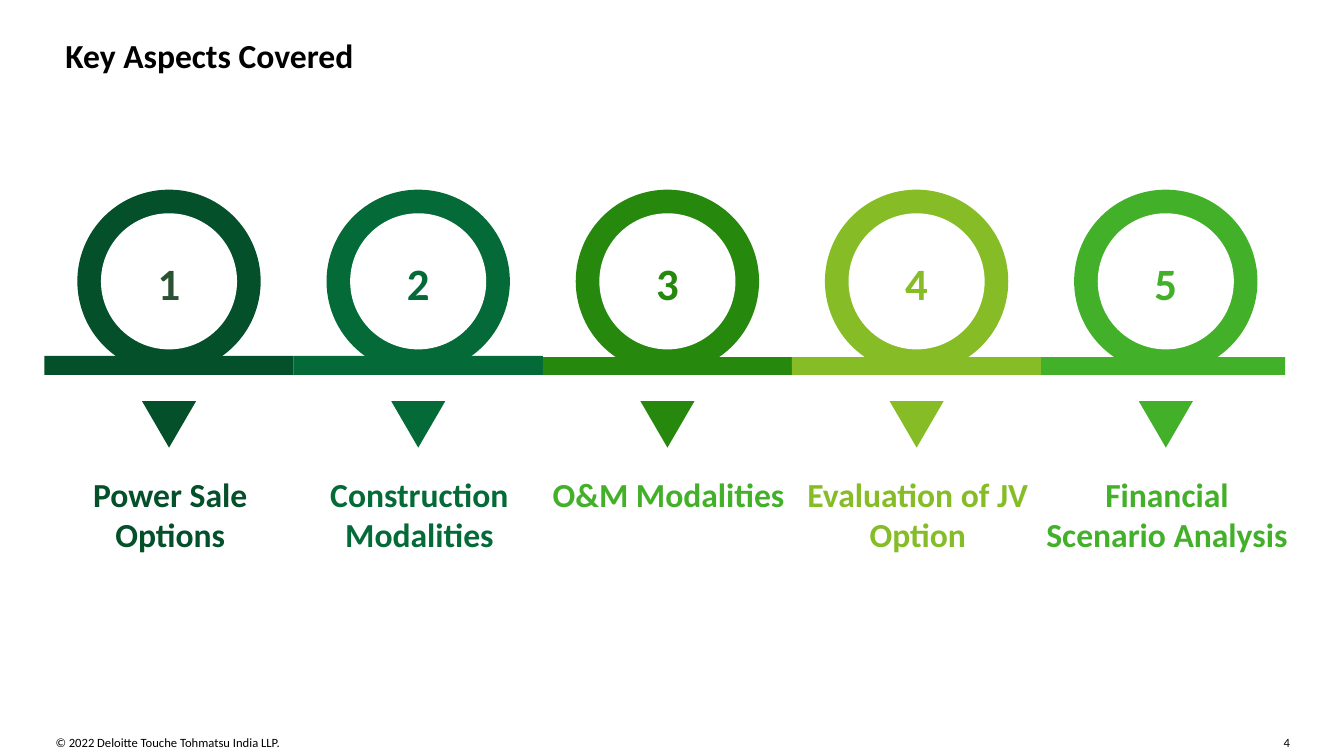
from dataclasses import dataclass

from pptx import Presentation
from pptx.dml.color import RGBColor
from pptx.enum.shapes import MSO_SHAPE
from pptx.enum.text import MSO_ANCHOR, PP_ALIGN
from pptx.shapes.autoshape import Shape
from pptx.slide import Slide
from pptx.util import Cm, Pt

FONT = "Calibri"
COLORS = {
    "black": "000000",
    "white": "FFFFFF",
    "forest": "03502A",
    "moss": "2C5234",
    "emerald": "046A38",
    "leaf": "26890D",
    "lime": "86BC25",
    "bright": "43B02A",
}

# Lengths in centimetres
FIRST_CENTER = 4.26
PITCH = 6.28
RING_MIDDLE = 7.09
RING_SIZE = 4.62
HOLE_SIZE = 3.43
BAR_BOTTOM = 9.45
LABEL_WIDTH = 6.15


@dataclass
class Aspect:
    label: str
    color: str
    number_color: str
    label_color: str
    bar_height: float = 0.45
    bar_width: float = PITCH


ASPECTS = [
    Aspect("Power Sale Options", "forest", "moss", "forest", bar_height=0.48),
    Aspect("Construction Modalities", "emerald", "emerald", "emerald", bar_height=0.48),
    Aspect("O&M Modalities", "leaf", "leaf", "bright"),
    Aspect("Evaluation of JV Option", "lime", "lime", "lime"),
    Aspect("Financial Scenario Analysis", "bright", "bright", "bright", bar_width=6.15),
]


def write_text(shape: Shape, text: str, *, size: float, color: str = "black",
               bold: bool = False, align: PP_ALIGN = PP_ALIGN.LEFT,
               anchor: MSO_ANCHOR = MSO_ANCHOR.TOP, wrap: bool = True,
               inset_x: float = 0, inset_y: float = 0,
               line_spacing: float | None = None) -> None:
    frame = shape.text_frame
    frame.word_wrap = wrap
    frame.vertical_anchor = anchor
    frame.margin_left = frame.margin_right = Cm(inset_x)
    frame.margin_top = frame.margin_bottom = Cm(inset_y)
    paragraph = frame.paragraphs[0]
    paragraph.alignment = align
    paragraph.line_spacing = line_spacing
    run = paragraph.add_run()
    run.text = text
    run.font.name = FONT
    run.font.size = Pt(size)
    run.font.bold = bold
    run.font.color.rgb = RGBColor.from_string(COLORS[color])


def add_text_box(slide: Slide, left: float, top: float, width: float, height: float) -> Shape:
    return slide.shapes.add_textbox(Cm(left), Cm(top), Cm(width), Cm(height))


def add_filled(slide: Slide, kind: MSO_SHAPE, left: float, top: float,
               width: float, height: float, color: str) -> Shape:
    shape = slide.shapes.add_shape(kind, Cm(left), Cm(top), Cm(width), Cm(height))
    shape.shadow.inherit = False
    shape.fill.solid()
    shape.fill.fore_color.rgb = RGBColor.from_string(COLORS[color])
    shape.line.fill.background()
    return shape


def add_circle(slide: Slide, center: float, size: float, color: str) -> Shape:
    return add_filled(slide, MSO_SHAPE.OVAL, center - size / 2, RING_MIDDLE - size / 2,
                      size, size, color)


def add_aspect(slide: Slide, number: int, aspect: Aspect) -> None:
    center = FIRST_CENTER + (number - 1) * PITCH

    # Numbered ring
    add_circle(slide, center, RING_SIZE, aspect.color)
    hole = add_circle(slide, center, HOLE_SIZE, "white")
    write_text(hole, str(number), size=32, color=aspect.number_color, bold=True,
               align=PP_ALIGN.CENTER, anchor=MSO_ANCHOR.MIDDLE,
               inset_x=0.25, inset_y=0.25, line_spacing=1.06)

    # Bar under the ring and pointer to the label
    add_filled(slide, MSO_SHAPE.RECTANGLE, center - PITCH / 2, BAR_BOTTOM - aspect.bar_height,
               aspect.bar_width, aspect.bar_height, aspect.color)
    pointer = add_filled(slide, MSO_SHAPE.ISOSCELES_TRIANGLE, center - 0.68, 10.11,
                         1.36, 1.17, aspect.color)
    pointer.rotation = 180

    # Label
    label = add_text_box(slide, center - LABEL_WIDTH / 2 + 0.03, 11.94, LABEL_WIDTH, 4.09)
    write_text(label, aspect.label, size=24, color=aspect.label_color, bold=True,
               align=PP_ALIGN.CENTER)


def main() -> None:
    presentation = Presentation()
    presentation.slide_width = Cm(33.87)
    presentation.slide_height = Cm(19.05)
    slide = presentation.slides.add_slide(presentation.slide_layouts[6])

    # Title
    title = add_text_box(slide, 1.4, 0.74, 31.09, 0.94)
    write_text(title, "Key Aspects Covered", size=24, bold=True, inset_x=0.25, inset_y=0.13)

    # Aspects
    for number, aspect in enumerate(ASPECTS, start=1):
        add_aspect(slide, number, aspect)

    # Footer
    copyright_line = add_text_box(slide, 1.4, 18.52, 14.88, 0.38)
    write_text(copyright_line, "© 2022 Deloitte Touche Tohmatsu India LLP.", size=9)
    page_number = add_text_box(slide, 32.13, 18.52, 0.38, 0.38)
    write_text(page_number, "4", size=9, align=PP_ALIGN.RIGHT, wrap=False)

    presentation.save("out.pptx")


if __name__ == "__main__":
    main()
